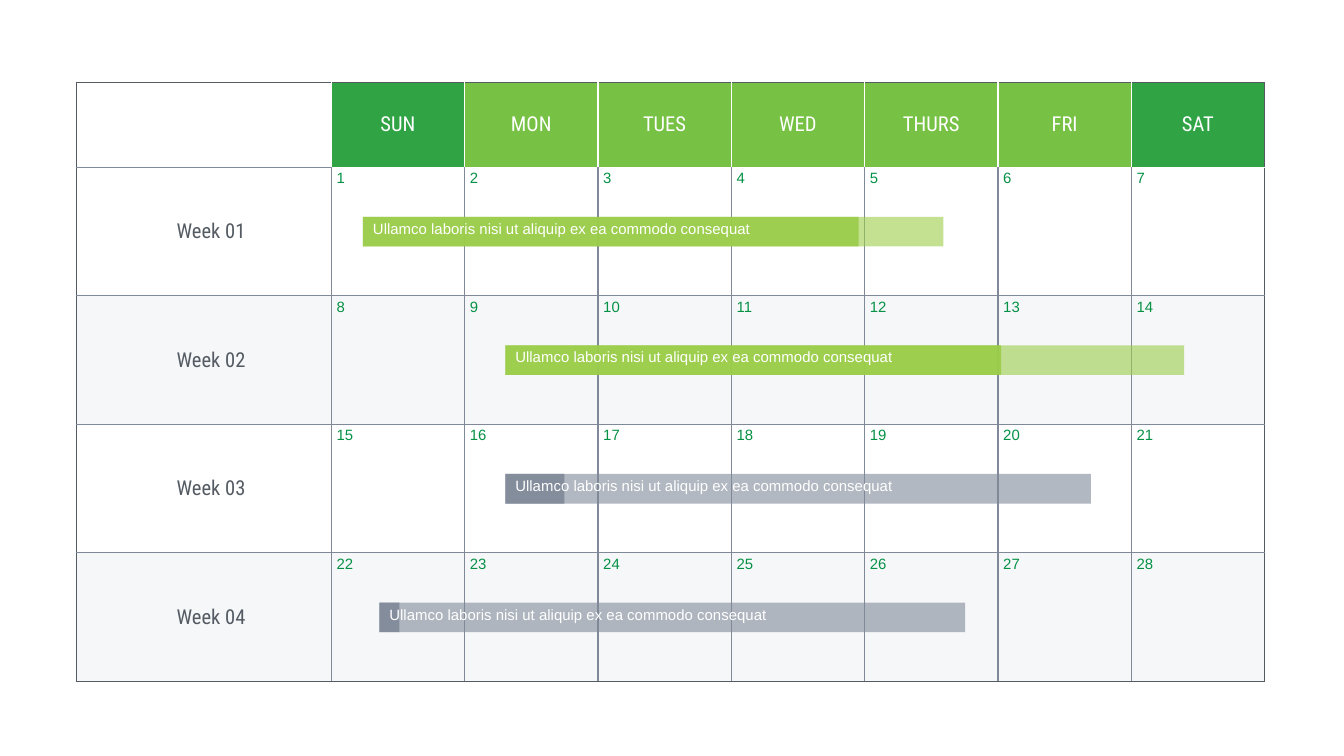
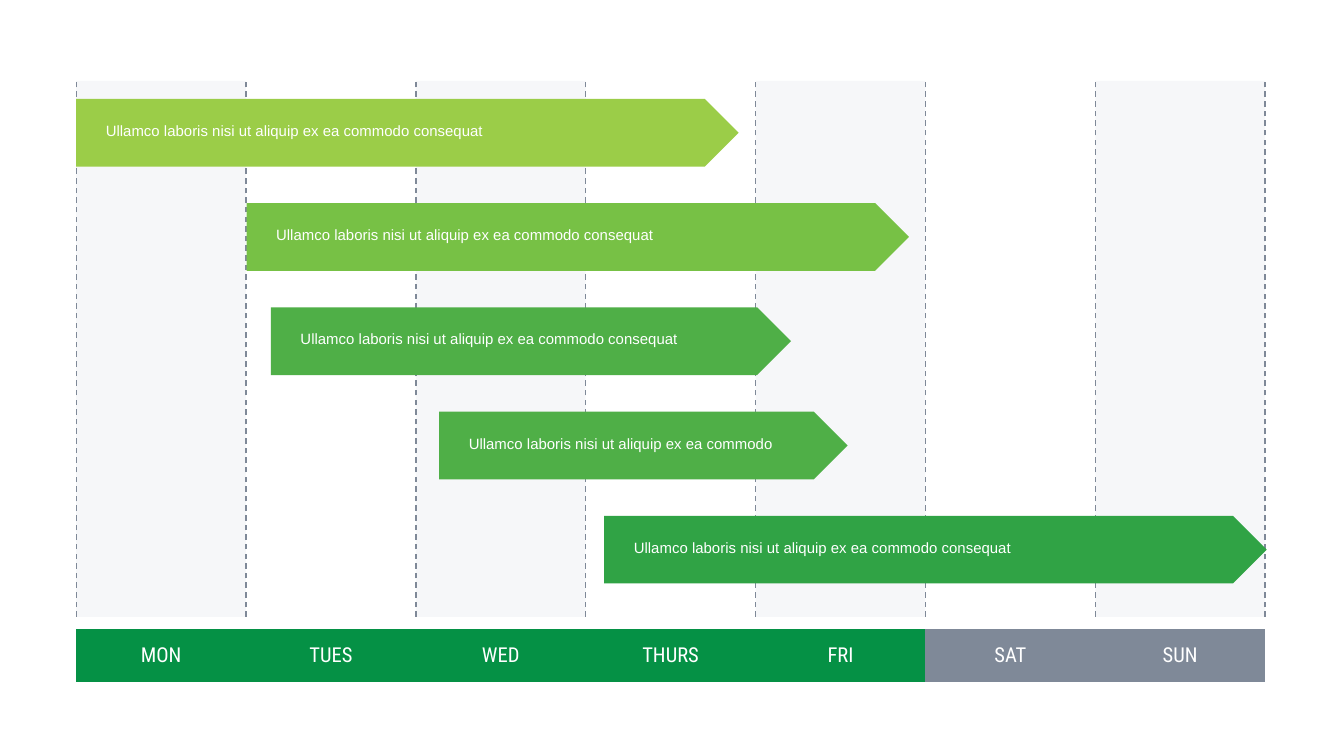
from lxml.etree import SubElement
from pptx import Presentation
from pptx.dml.color import RGBColor
from pptx.enum.dml import MSO_LINE_DASH_STYLE as Dash
from pptx.enum.shapes import MSO_CONNECTOR as Connector, MSO_SHAPE as Shape
from pptx.enum.text import MSO_ANCHOR as Anchor, PP_ALIGN as Align
from pptx.oxml import parse_xml
from pptx.oxml.ns import nsdecls, qn
from pptx.util import Cm, Pt

COLOURS = {
    "white": "FFFFFF", "pale": "EEF0F4", "grey": "7F8998", "dark": "545B63",
    "lime": "9BCD48", "grass": "77C145", "green": "4FAF47",
    "leaf": "30A345", "forest": "059145",
}
HEADING = ("Roboto Condensed", 11)
BODY = ("Arial", 8)
NO_STYLE = "{2D5ABB26-0587-4C30-8999-92F81FD0307C}"
BORDER_TAGS = {"left": "lnL", "right": "lnR", "top": "lnT", "bottom": "lnB"}
LEFT = 1.44
INSETS = (0.1, 0.05, 0.1, 0.05)
WEEK_INSETS = (0.38, 0.05, 0.1, 0.05)

TASK = "Ullamco laboris nisi ut aliquip ex ea commodo consequat"
SHORT_TASK = "Ullamco laboris nisi ut aliquip ex ea commodo"
WEEKDAYS = ["MON", "TUES", "WED", "THURS", "FRI"]

MONTH_DAYS = ["SUN", *WEEKDAYS, "SAT"]
WEEKS = ["Week 01", "Week 02", "Week 03", "Week 04"]
# left, full width, finished width, colour; one bar per week
PROGRESS = [
    (6.86, 10.97, 9.37, "lime"),
    (9.55, 12.83, 9.37, "lime"),
    (9.55, 11.07, 1.12, "grey"),
    (7.17, 11.07, 0.38, "grey"),
]
MONTH_TOP, HEADER_HEIGHT, WEEK_HEIGHT = 1.56, 1.6, 2.43
WEEK_WIDTH, DAY_WIDTH = 4.82, 2.52
BAR_DROP, BAR_HEIGHT = 0.94, 0.56

WEEK_DAYS = [*WEEKDAYS, "SAT", "SUN"]
# left, width, colour, text; from top to bottom
ARROWS = [
    (1.44, 12.52, "lime", TASK),
    (4.66, 12.52, "grass", TASK),
    (5.12, 9.83, "green", TASK),
    (8.3, 7.72, "green", SHORT_TASK),
    (11.42, 12.52, "leaf", TASK),
]
COLUMN_WIDTH, COLUMN_TOP, COLUMN_HEIGHT = 3.21, 1.53, 10.13
DAYS_TOP, DAYS_HEIGHT = 11.89, 1.0
ARROW_TOP, ARROW_PITCH, ARROW_HEIGHT = 1.87, 1.97, 1.28


def rgb(colour):
    return RGBColor.from_string(COLOURS[colour])


def paint(fill, colour, opacity=100):
    """Fill solidly, with opacity in percent."""
    fill.solid()
    fill.fore_color.rgb = rgb(colour)
    if opacity < 100:
        solid = fill._xPr.find(qn("a:solidFill"))
        SubElement(solid[0], qn("a:alpha"), val=str(opacity * 1000))


def write(frame, text, style, colour, align=Align.LEFT):
    para = frame.paragraphs[0]
    para.text = text
    para.alignment = align
    para.font.name, size = style
    para.font.size = Pt(size)
    para.font.color.rgb = rgb(colour)


def set_margins(holder, insets):
    (holder.margin_left, holder.margin_top,
     holder.margin_right, holder.margin_bottom) = map(Cm, insets)


def add_block(shapes, kind, left, top, width, height, colour, opacity=100):
    shape = shapes.add_shape(kind, Cm(left), Cm(top), Cm(width), Cm(height))
    shape.shadow.inherit = False
    paint(shape.fill, colour, opacity)
    shape.line.fill.background()


def add_label(shapes, left, top, text):
    box = shapes.add_textbox(Cm(left), Cm(top), Cm(7.9), Cm(0.46))
    box.text_frame.word_wrap = True
    set_margins(box.text_frame, INSETS)
    write(box.text_frame, text, BODY, "white")


def add_plain_table(page, top, widths, heights):
    frame = page.shapes.add_table(len(heights), len(widths), Cm(LEFT), Cm(top),
                                  Cm(sum(widths)), Cm(sum(heights)))
    table = frame.table
    table.first_row = table.horz_banding = False
    frame.element.find(".//" + qn("a:tableStyleId")).text = NO_STYLE
    for column, width in zip(table.columns, widths):
        column.width = Cm(width)
    for row, height in zip(table.rows, heights):
        row.height = Cm(height)
    return table


def fill_cell(cell, text, style, colour, centred=True, insets=INSETS):
    set_margins(cell, insets)
    cell.vertical_anchor = Anchor.MIDDLE if centred else Anchor.TOP
    write(cell.text_frame, text, style, colour,
          Align.CENTER if centred else Align.LEFT)


def set_borders(cell, colours):
    """Draw the four cell borders; they must precede the cell fill."""
    properties = cell._tc.get_or_add_tcPr()
    for place, (side, tag) in enumerate(BORDER_TAGS.items()):
        properties.insert(place, parse_xml(
            f'<a:{tag} {nsdecls("a")} w="9525"><a:solidFill>'
            f'<a:srgbClr val="{COLOURS[colours[side]]}"/></a:solidFill></a:{tag}>'))


def month_borders(row, col):
    """Dark frame, white lines around the day names, grey lines elsewhere."""
    last_row, last_col = len(WEEKS), len(MONTH_DAYS)
    upright = "grey" if row else "white"
    return {
        "left": upright if col else "dark",
        "right": "dark" if col == last_col else upright,
        "top": "dark" if row == 0 else "white" if row == 1 and col else "grey",
        "bottom": "dark" if row == last_row
                  else "white" if row == 0 and col else "grey",
    }


def build_month(page):
    table = add_plain_table(page, MONTH_TOP,
                            [WEEK_WIDTH] + [DAY_WIDTH] * len(MONTH_DAYS),
                            [HEADER_HEIGHT] + [WEEK_HEIGHT] * len(WEEKS))
    for col, day in enumerate(MONTH_DAYS, 1):
        cell = table.cell(0, col)
        fill_cell(cell, day, HEADING, "white")
        paint(cell.fill, "grass" if day in WEEKDAYS else "leaf")
    for row, week in enumerate(WEEKS, 1):
        fill_cell(table.cell(row, 0), week, HEADING, "dark", insets=WEEK_INSETS)
        for col in range(1, len(MONTH_DAYS) + 1):
            date = (row - 1) * len(MONTH_DAYS) + col
            fill_cell(table.cell(row, col), str(date), BODY, "forest", False)
        if row % 2 == 0:
            for cell in table.rows[row].cells:
                paint(cell.fill, "pale", 50)
    for row in range(len(WEEKS) + 1):
        for col in range(len(MONTH_DAYS) + 1):
            set_borders(table.cell(row, col), month_borders(row, col))

    for week, (left, full, finished, colour) in enumerate(PROGRESS):
        top = MONTH_TOP + HEADER_HEIGHT + week * WEEK_HEIGHT + BAR_DROP
        shapes = page.shapes.add_group_shape().shapes
        for width, opacity in ((full, 60), (finished, 90)):
            add_block(shapes, Shape.RECTANGLE, left, top, width, BAR_HEIGHT,
                      colour, opacity)
        add_label(shapes, left + 0.09, top, TASK)


def build_week(page):
    edges = [LEFT + day * COLUMN_WIDTH for day in range(len(WEEK_DAYS) + 1)]
    for left in edges[:-1:2]:
        add_block(page.shapes, Shape.RECTANGLE, left, COLUMN_TOP,
                  COLUMN_WIDTH, COLUMN_HEIGHT, "pale", 50)

    table = add_plain_table(page, DAYS_TOP, [COLUMN_WIDTH] * len(WEEK_DAYS),
                            [DAYS_HEIGHT])
    for cell, day in zip(table.rows[0].cells, WEEK_DAYS):
        fill_cell(cell, day, HEADING, "white")
        paint(cell.fill, "forest" if day in WEEKDAYS else "grey")

    for edge in edges:
        line = page.shapes.add_connector(
            Connector.STRAIGHT, Cm(edge), Cm(COLUMN_TOP + COLUMN_HEIGHT),
            Cm(edge), Cm(COLUMN_TOP))
        line.line.color.rgb = rgb("grey")
        line.line.width = Pt(0.75)
        line.line.dash_style = Dash.DASH
        SubElement(line.element.spPr, qn("a:effectLst"))

    for number, (left, width, colour, text) in enumerate(ARROWS):
        top = ARROW_TOP + number * ARROW_PITCH
        shapes = page.shapes.add_group_shape().shapes
        add_block(shapes, Shape.PENTAGON, left, top, width, ARROW_HEIGHT, colour)
        add_label(shapes, left + 0.46, top + 0.38, text)


def main():
    deck = Presentation()
    deck.slide_width, deck.slide_height = Cm(25.4), Cm(14.29)
    for build in (build_month, build_week):
        build(deck.slides.add_slide(deck.slide_layouts[6]))
    deck.save("out.pptx")


if __name__ == "__main__":
    main()
